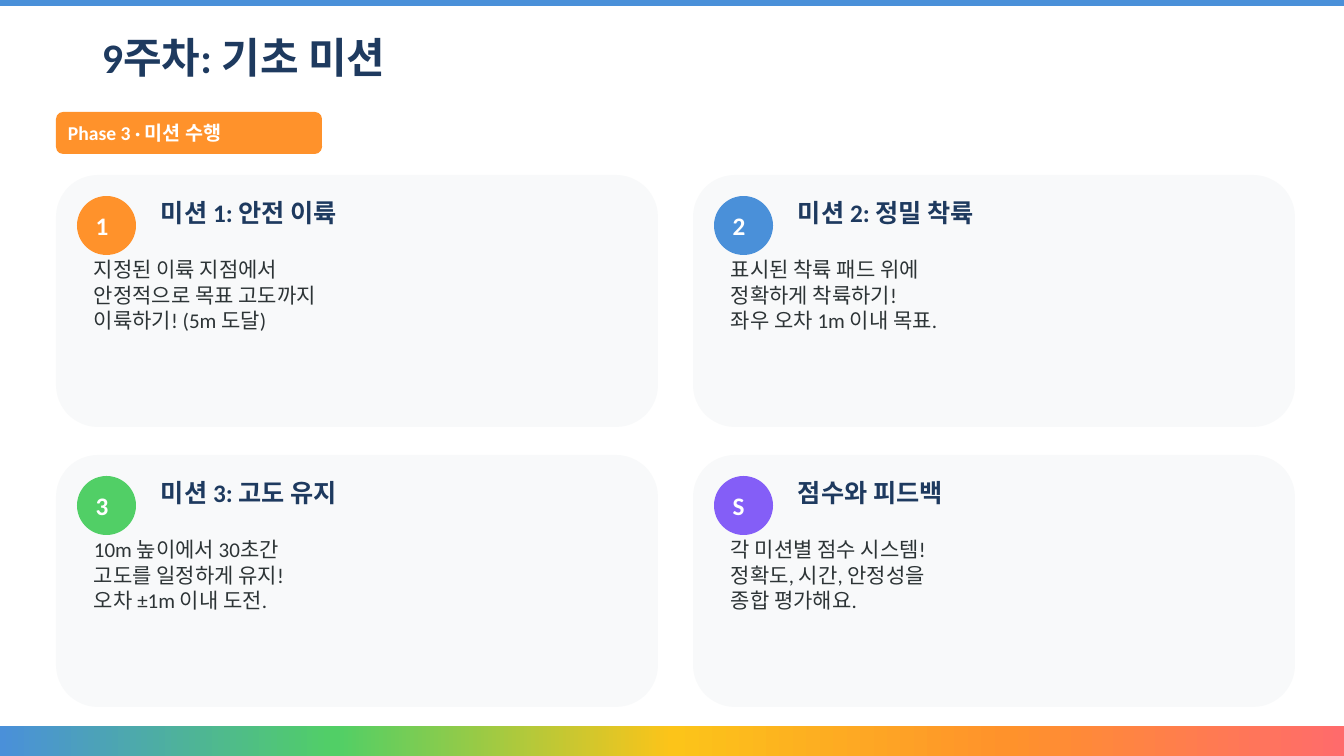
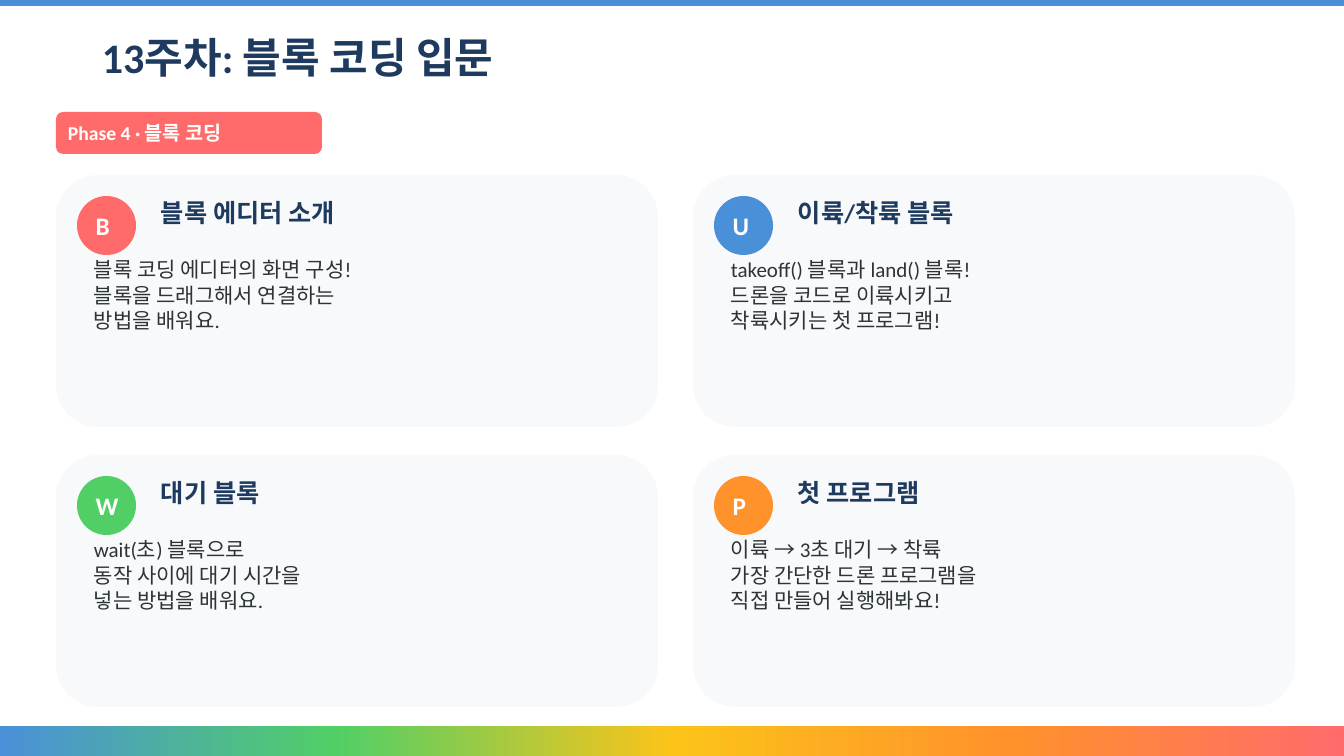
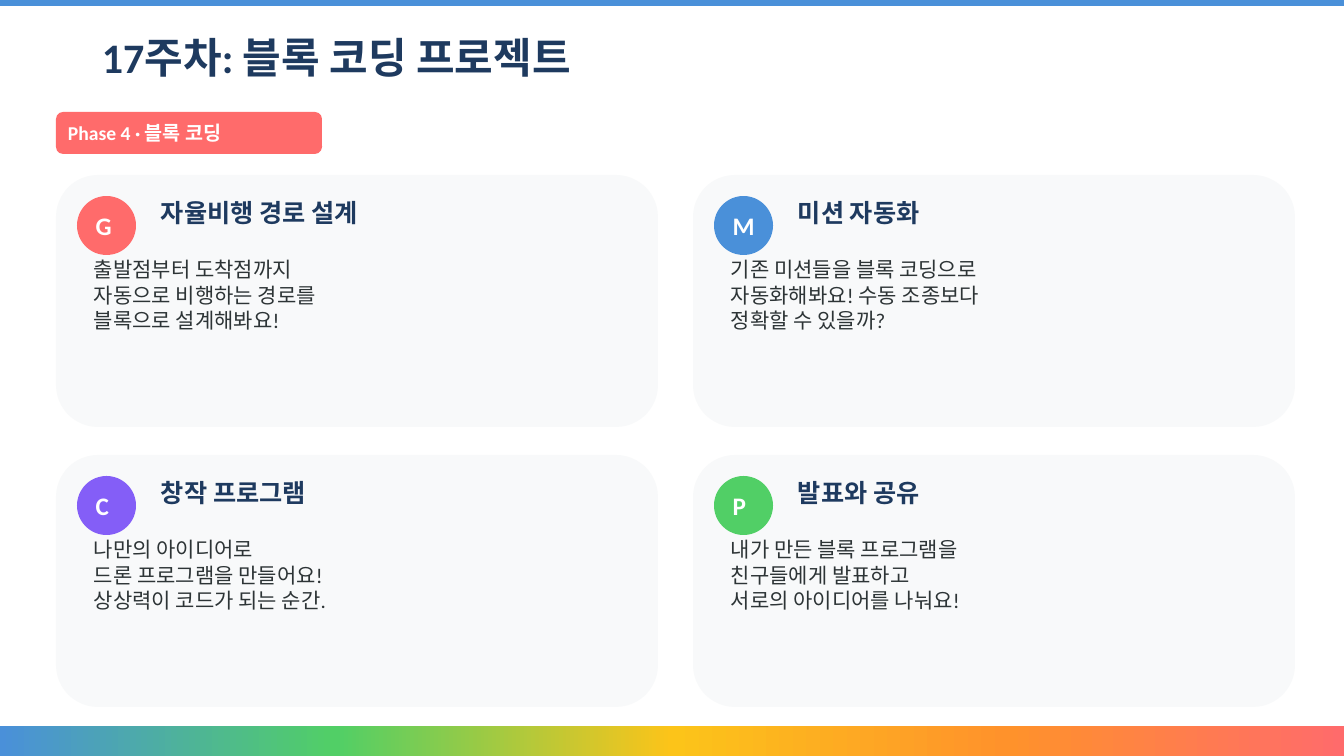
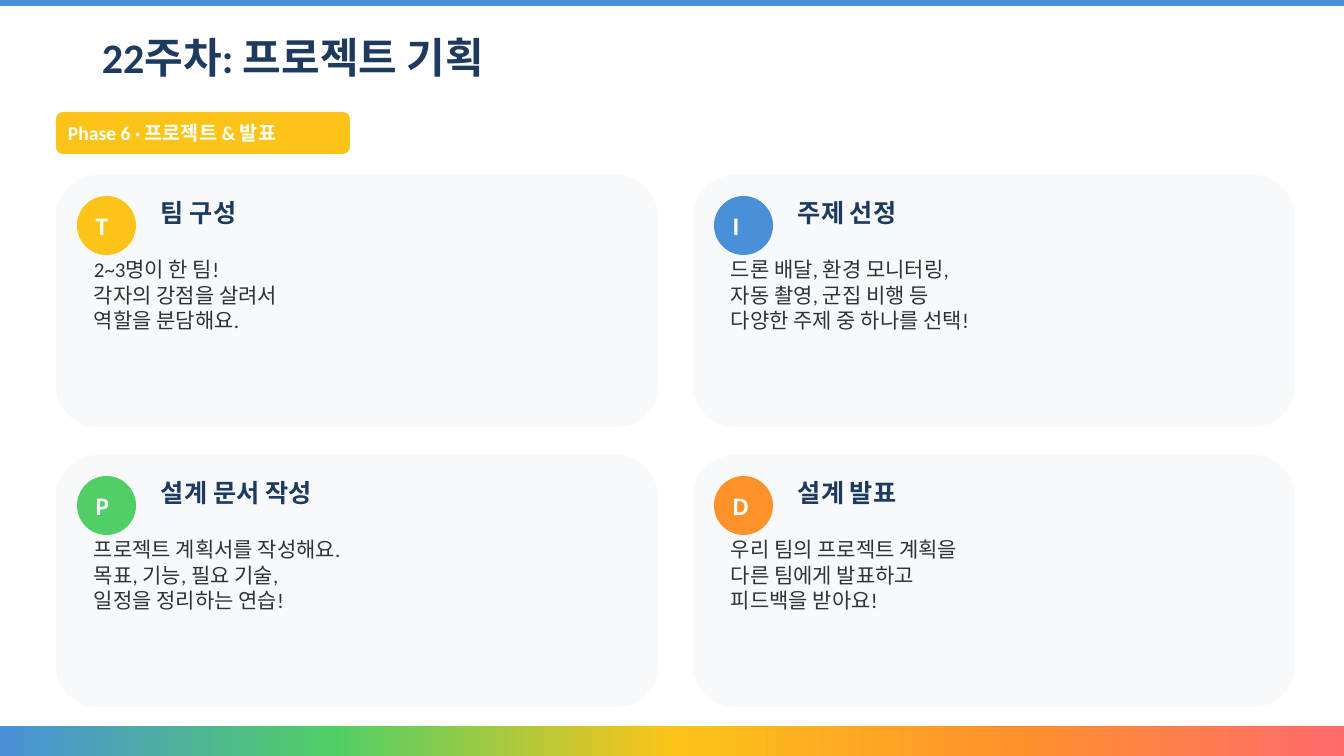
from lxml.etree import SubElement
from pptx import Presentation
from pptx.dml.color import RGBColor
from pptx.enum.shapes import MSO_SHAPE as SHAPE
from pptx.enum.text import MSO_ANCHOR as ANCHOR, MSO_AUTO_SIZE as AUTO_SIZE, PP_ALIGN as ALIGN
from pptx.oxml.ns import qn
from pptx.util import Pt

# Shared look
PX = 914400 / 100.8
WIDTH, HEIGHT = 1344, 756
FONT = "Calibri"
COLORS = {
    "blue": "4A90D9", "green": "51CF66", "yellow": "FCC419", "orange": "FF922B",
    "red": "FF6B6B", "purple": "845EF7", "navy": "1E3A5F", "ink": "2D3436",
    "card": "F8F9FA", "white": "FFFFFF",
}
RAINBOW = ["blue", "green", "yellow", "orange", "red"]

# Card grid
MARGIN, CARD_TOP = 56, 175
CARD_WIDTH, CARD_HEIGHT = 602, 252
GAP_X, GAP_Y = 35, 28
BADGE = 59

# Title, phase tag (text, colour, width), cards (badge, colour, heading, body)
WEEKS = [
    ("9주차: 기초 미션", ("Phase 3 · 미션 수행", "orange", 266), [
        ("1", "orange", "미션 1: 안전 이륙",
         "지정된 이륙 지점에서\n안정적으로 목표 고도까지\n이륙하기! (5m 도달)"),
        ("2", "blue", "미션 2: 정밀 착륙",
         "표시된 착륙 패드 위에\n정확하게 착륙하기!\n좌우 오차 1m 이내 목표."),
        ("3", "green", "미션 3: 고도 유지",
         "10m 높이에서 30초간\n고도를 일정하게 유지!\n오차 ±1m 이내 도전."),
        ("S", "purple", "점수와 피드백",
         "각 미션별 점수 시스템!\n정확도, 시간, 안정성을\n종합 평가해요."),
    ]),
    ("13주차: 블록 코딩 입문", ("Phase 4 · 블록 코딩", "red", 266), [
        ("B", "red", "블록 에디터 소개",
         "블록 코딩 에디터의 화면 구성!\n블록을 드래그해서 연결하는\n방법을 배워요."),
        ("U", "blue", "이륙/착륙 블록",
         "takeoff() 블록과 land() 블록!\n드론을 코드로 이륙시키고\n착륙시키는 첫 프로그램!"),
        ("W", "green", "대기 블록",
         "wait(초) 블록으로\n동작 사이에 대기 시간을\n넣는 방법을 배워요."),
        ("P", "orange", "첫 프로그램",
         "이륙 → 3초 대기 → 착륙\n가장 간단한 드론 프로그램을\n직접 만들어 실행해봐요!"),
    ]),
    ("17주차: 블록 코딩 프로젝트", ("Phase 4 · 블록 코딩", "red", 266), [
        ("G", "red", "자율비행 경로 설계",
         "출발점부터 도착점까지\n자동으로 비행하는 경로를\n블록으로 설계해봐요!"),
        ("M", "blue", "미션 자동화",
         "기존 미션들을 블록 코딩으로\n자동화해봐요! 수동 조종보다\n정확할 수 있을까?"),
        ("C", "purple", "창작 프로그램",
         "나만의 아이디어로\n드론 프로그램을 만들어요!\n상상력이 코드가 되는 순간."),
        ("P", "green", "발표와 공유",
         "내가 만든 블록 프로그램을\n친구들에게 발표하고\n서로의 아이디어를 나눠요!"),
    ]),
    ("22주차: 프로젝트 기획", ("Phase 6 · 프로젝트 & 발표", "yellow", 294), [
        ("T", "yellow", "팀 구성",
         "2~3명이 한 팀!\n각자의 강점을 살려서\n역할을 분담해요."),
        ("I", "blue", "주제 선정",
         "드론 배달, 환경 모니터링,\n자동 촬영, 군집 비행 등\n다양한 주제 중 하나를 선택!"),
        ("P", "green", "설계 문서 작성",
         "프로젝트 계획서를 작성해요.\n목표, 기능, 필요 기술,\n일정을 정리하는 연습!"),
        ("D", "orange", "설계 발표",
         "우리 팀의 프로젝트 계획을\n다른 팀에게 발표하고\n피드백을 받아요!"),
    ]),
]


def add_box(page, kind, left, top, width, height, fill=None):
    """Add a filled shape, or a plain text box when kind is None."""
    area = [round(length * PX) for length in (left, top, width, height)]
    if kind is None:
        return page.shapes.add_textbox(*area)
    box = page.shapes.add_shape(kind, *area)
    box.shadow.inherit = False
    box.line.fill.background()
    box.fill.solid()
    box.fill.fore_color.rgb = RGBColor.from_string(COLORS[fill])
    return box


def write(box, text, size, color, bold=True, anchor=ANCHOR.MIDDLE, wrap=True):
    """Fill a box with one left-aligned paragraph and return it."""
    frame = box.text_frame
    frame.word_wrap = wrap
    frame.vertical_anchor = anchor
    para = frame.paragraphs[0]
    para.text = text
    para.alignment = ALIGN.LEFT
    para.font.name = FONT
    para.font.size = Pt(size)
    para.font.bold = bold
    para.font.color.rgb = RGBColor.from_string(COLORS[color])
    return para


deck = Presentation()
deck.slide_width, deck.slide_height = round(WIDTH * PX), round(HEIGHT * PX)
layout = deck.slide_layouts[6]
for placeholder in list(layout.placeholders):
    placeholder.element.getparent().remove(placeholder.element)
pages = [deck.slides.add_slide(layout) for week in WEEKS]

# Bands, drawn once and moved to the layout that all slides share
rainbow_band = add_box(pages[0], SHAPE.RECTANGLE, 0, 726, WIDTH, 30, "blue")
rainbow_band.fill.gradient()
rainbow_band.fill.gradient_angle = 0
stops = rainbow_band.element.find(".//" + qn("a:gsLst"))
for stop in list(stops):
    stops.remove(stop)
for index, name in enumerate(RAINBOW):
    stop = SubElement(stops, qn("a:gs"), pos=str(index * 25000))
    SubElement(stop, qn("a:srgbClr"), val=COLORS[name])
top_band = add_box(pages[0], SHAPE.RECTANGLE, 0, 0, WIDTH, 6, "blue")
for band in (rainbow_band, top_band):
    layout.shapes.element.append(band.element)

for page, (title, (phase, phase_color, phase_width), cards) in zip(pages, WEEKS):
    # Title and phase tag
    title_para = write(add_box(page, None, 92, 21, 1159, 77), title, 30, "navy")
    title_para.line_spacing = 0.9
    tag = add_box(page, SHAPE.ROUNDED_RECTANGLE, MARGIN, 112, phase_width, 42, phase_color)
    write(tag, phase, 14, "white")

    # Two by two cards
    for index, (letter, color, heading, body) in enumerate(cards):
        row, column = divmod(index, 2)
        left = MARGIN + column * (CARD_WIDTH + GAP_X)
        top = CARD_TOP + row * (CARD_HEIGHT + GAP_Y)
        add_box(page, SHAPE.ROUNDED_RECTANGLE, left, top, CARD_WIDTH, CARD_HEIGHT, "card")
        badge = add_box(page, SHAPE.OVAL, left + 21, top + 21, BADGE, BADGE, color)
        write(badge, letter, 18, "white", wrap=False)
        heading_box = add_box(page, None, left + 95, top + 17, 483, 39)
        write(heading_box, heading, 18, "navy", anchor=ANCHOR.TOP)
        body_box = add_box(page, None, left + 28, top + 77, 553, 154)
        write(body_box, body, 15, "ink", bold=False, anchor=ANCHOR.TOP)
        for box in (heading_box, body_box):
            box.text_frame.auto_size = AUTO_SIZE.SHAPE_TO_FIT_TEXT

deck.save("out.pptx")
